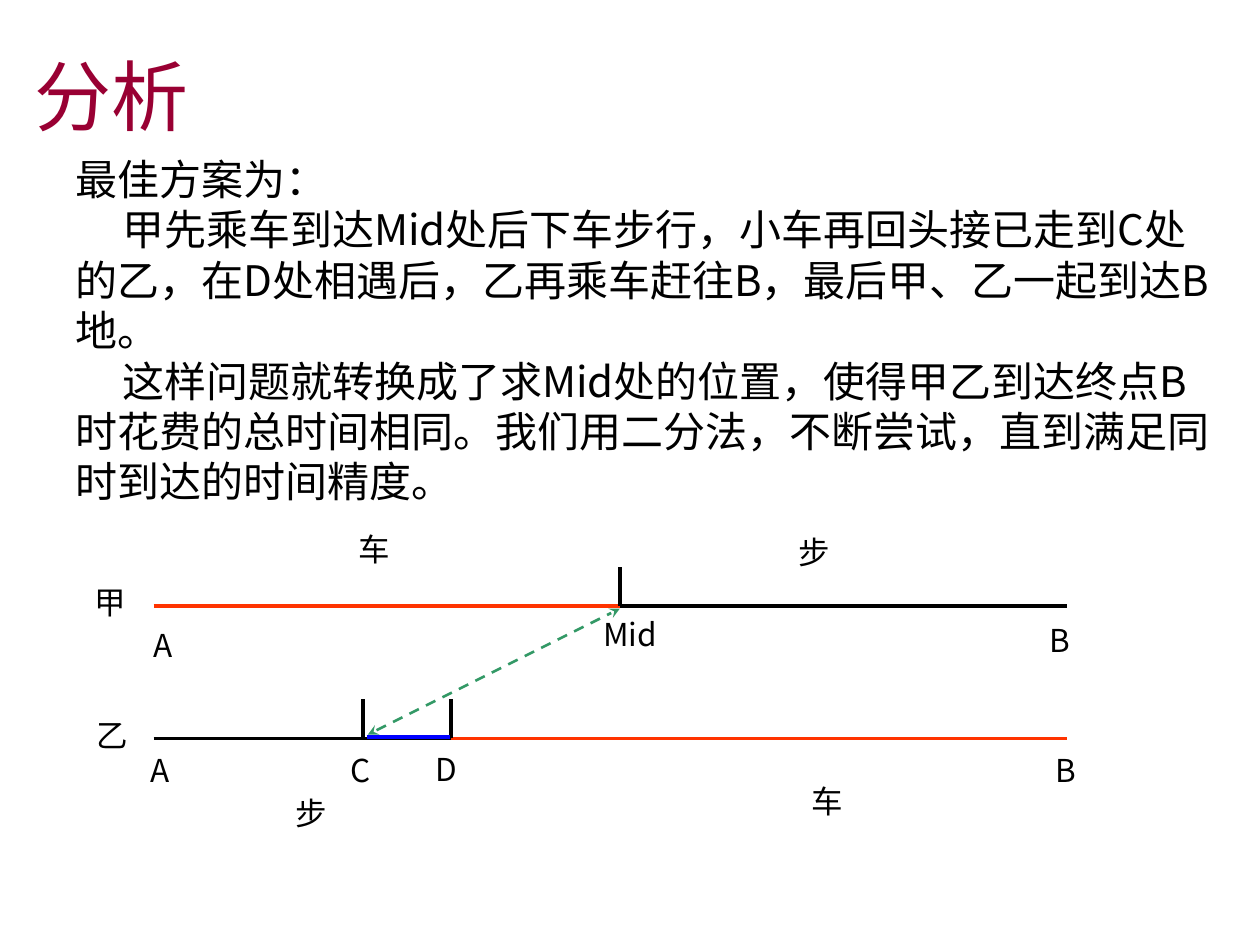
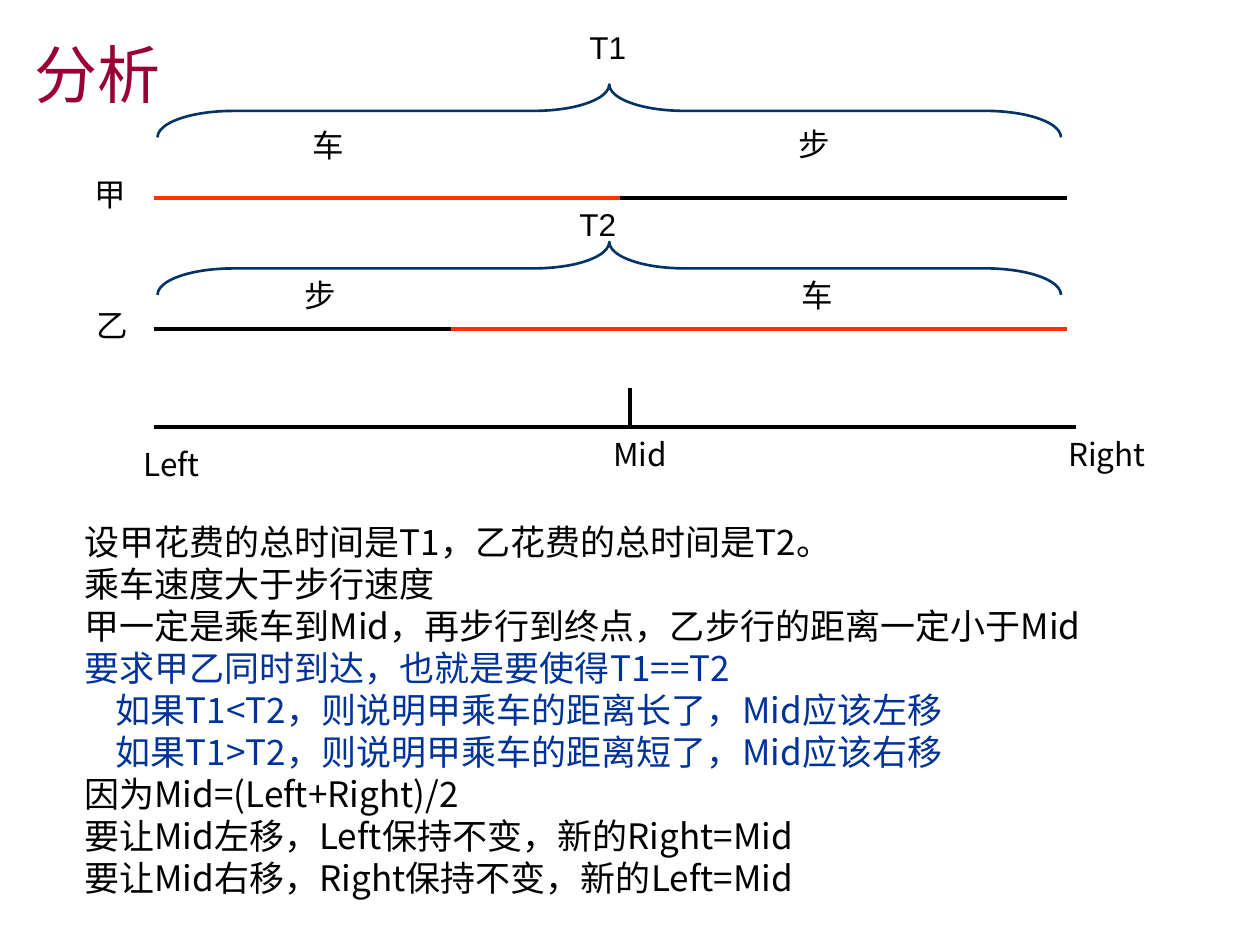
import pptx
import pptx.util
import pptx.dml.color
import pptx.enum.dml
import pptx.enum.shapes
import pptx.enum.text
import lxml.etree
from dataclasses import dataclass


@dataclass(frozen=True)
class Theme:
    title: str = "990033"
    text: str = "000000"
    emphasis: str = "003399"
    walk: str = "000000"
    ride: str = "FF3300"
    pickup: str = "0000FF"
    turnback: str = "339966"
    brace: str = "003366"
    latin_font: str = "Arial"
    body_font: str = "Noto Sans CJK SC"
    label_size: int = 18
    track_weight: float = 2
    line_pitch: float = 1.2  # line height as a multiple of the type size


THEME = Theme()
DASH = pptx.enum.dml.MSO_LINE.DASH

# Places along the road (inches from the left edge)
A, C, D, MID, B = 1.22, 2.88, 3.58, 4.92, 8.47
SEARCH_MID, SEARCH_RIGHT = 5.0, 8.54
TICK = 0.31
LABEL_HEIGHT = 0.4
CHARACTER = 0.45

# Rows of the two diagrams (inches from the top edge)
PLAN_JIA, PLAN_YI = 4.81, 5.86
TIME_JIA, TIME_YI, SEARCH = 1.57, 2.61, 3.39

# Body text: (text, first-line indent, colour)
PLAN_TEXT = [
    ("最佳方案为：", 0, THEME.text),
    ("甲先乘车到达Mid处后下车步行，小车再回头接已走到C处的乙，"
     "在D处相遇后，乙再乘车赶往B，最后甲、乙一起到达B地。", 0.37, THEME.text),
    ("这样问题就转换成了求Mid处的位置，使得甲乙到达终点B时花费的总时间相同。"
     "我们用二分法，不断尝试，直到满足同时到达的时间精度。", 0.37, THEME.text),
]
SEARCH_TEXT = [
    ("设甲花费的总时间是T1，乙花费的总时间是T2。", 0, THEME.text),
    ("乘车速度大于步行速度", 0, THEME.text),
    ("甲一定是乘车到Mid，再步行到终点，乙步行的距离一定小于Mid", 0, THEME.text),
    ("要求甲乙同时到达，也就是要使得T1==T2", 0, THEME.emphasis),
    ("如果T1<T2，则说明甲乘车的距离长了，Mid应该左移", 0.25, THEME.emphasis),
    ("如果T1>T2，则说明甲乘车的距离短了，Mid应该右移", 0.25, THEME.emphasis),
    ("因为Mid=(Left+Right)/2", 0, THEME.text),
    ("要让Mid左移，Left保持不变，新的Right=Mid", 0, THEME.text),
    ("要让Mid右移，Right保持不变，新的Left=Mid", 0, THEME.text),
]

# Labels: (text, left, top, width)
PLAN_LABELS = [
    ("A", 1.12, 4.92, 0.4), ("Mid", 4.69, 4.83, 0.7), ("B", 8.23, 4.88, 0.4),
    ("A", 1.1, 5.91, 0.4), ("C", 2.68, 5.91, 0.4),
    ("D", 3.36, 5.9, 0.4), ("B", 8.28, 5.91, 0.4),
]
PLAN_MODES = [
    ("车", 2.75, 4.16, CHARACTER), ("步", 6.24, 4.18, CHARACTER),
    ("步", 2.25, 6.25, CHARACTER), ("车", 6.34, 6.16, CHARACTER),
]
SEARCH_LABELS = [
    ("Left", 1.04, 3.48, 0.75), ("Mid", 4.77, 3.4, 0.7), ("Right", 8.38, 3.4, 0.95),
]
SEARCH_MODES = [
    ("车", 2.38, 0.95, CHARACTER), ("步", 6.24, 0.94, CHARACTER),
    ("步", 2.32, 2.14, CHARACTER), ("车", 6.26, 2.14, CHARACTER),
]
TIMES = [("T1", 4.58, 0.17, 1.28), ("T2", 4.5, 1.58, 1.28)]

# Braces above the two roads
BRACE_TOPS = [0.67, 1.92]
BRACE_LEFT, BRACE_SPAN, BRACE_DEPTH = 1.25, 7.17, 0.42


def inches(*values):
    return [pptx.util.Inches(value) for value in values]


def rgb(colour):
    return pptx.dml.color.RGBColor.from_string(colour)


def add_run(paragraph, text, size, colour, font):
    paragraph.alignment = pptx.enum.text.PP_ALIGN.LEFT
    paragraph.line_spacing = pptx.util.Pt(size * THEME.line_pitch)
    run = paragraph.add_run()
    run.text = text
    run.font.size = pptx.util.Pt(size)
    run.font.color.rgb = rgb(colour)
    run.font.name = font
    east_asian = lxml.etree.Element(pptx.oxml.ns.qn("a:ea"), typeface=THEME.body_font)
    run.font._element.find(pptx.oxml.ns.qn("a:latin")).addnext(east_asian)


def add_title(slide, text, top, height, size):
    title = slide.shapes.title
    title.left, title.top, title.width, title.height = inches(0.17, top, 9, height)
    frame = title.text_frame
    frame.auto_size = pptx.enum.text.MSO_AUTO_SIZE.NONE
    frame.vertical_anchor = pptx.enum.text.MSO_ANCHOR.MIDDLE
    add_run(frame.paragraphs[0], text, size, THEME.title, THEME.latin_font)


def add_body(slide, lines, box, size):
    frame = slide.shapes.add_textbox(*inches(*box)).text_frame
    frame.word_wrap = True
    for number, (text, indent, colour) in enumerate(lines):
        paragraph = frame.add_paragraph() if number else frame.paragraphs[0]
        properties = paragraph._p.get_or_add_pPr()
        properties.set("marL", "0")
        properties.set("indent", str(pptx.util.Inches(indent)))
        add_run(paragraph, text, size, colour, THEME.body_font)


def add_labels(slide, labels, font):
    for text, left, top, width in labels:
        frame = slide.shapes.add_textbox(*inches(left, top, width, LABEL_HEIGHT)).text_frame
        frame.word_wrap = True
        add_run(frame.paragraphs[0], text, THEME.label_size, THEME.text, font)


def add_line(slide, start, end, colour, weight=THEME.track_weight):
    connector = slide.shapes.add_connector(
        pptx.enum.shapes.MSO_CONNECTOR.STRAIGHT, *inches(*start, *end))
    connector.line.color.rgb = rgb(colour)
    connector.line.width = pptx.util.Pt(weight)
    lxml.etree.SubElement(connector._element.spPr, pptx.oxml.ns.qn("a:effectLst"))
    return connector


def add_tick(slide, x, row):
    add_line(slide, (x, row - TICK), (x, row), THEME.walk)


def add_road(slide, row, change, first, second):
    add_line(slide, (A, row), (change, row), first)
    add_line(slide, (change, row), (B, row), second)


def add_travellers(slide, jia_row, yi_row):
    add_road(slide, jia_row, MID, THEME.ride, THEME.walk)
    add_road(slide, yi_row, D, THEME.walk, THEME.ride)
    add_labels(slide, [("甲", 0.65, jia_row - 0.23, CHARACTER),
                       ("乙", 0.67, yi_row - 0.23, CHARACTER)], THEME.latin_font)


def add_brace(slide, top):
    # A left brace turned a quarter, so that its point faces up
    left = BRACE_LEFT + (BRACE_SPAN - BRACE_DEPTH) / 2
    upright_top = top - (BRACE_SPAN - BRACE_DEPTH) / 2
    brace = slide.shapes.add_shape(
        pptx.enum.shapes.MSO_SHAPE.LEFT_BRACE,
        *inches(left, upright_top, BRACE_DEPTH, BRACE_SPAN))
    brace.rotation = 90
    brace.adjustments[0] = BRACE_SPAN / 12 / BRACE_DEPTH
    brace.shadow.inherit = False
    brace.fill.background()
    brace.line.color.rgb = rgb(THEME.brace)
    brace.line.width = pptx.util.Pt(1.5)


def build_plan(slide):
    add_title(slide, "分析", 0, 1.5, 44)
    add_body(slide, PLAN_TEXT, (0.5, 1.17, 9.29, 2.9), 24)

    # Roads with the points where someone changes
    add_travellers(slide, PLAN_JIA, PLAN_YI)
    for x, row in [(MID, PLAN_JIA), (C, PLAN_YI), (D, PLAN_YI)]:
        add_tick(slide, x, row)
    add_labels(slide, PLAN_LABELS, THEME.body_font)
    add_labels(slide, PLAN_MODES, THEME.latin_font)

    # Stretch walked while the car comes back, and the car's way back
    add_line(slide, (C + 0.03, PLAN_YI - 0.01), (D - 0.01, PLAN_YI - 0.01), THEME.pickup, 2.25)
    way_back = add_line(slide, (C + 0.04, PLAN_YI - 0.03), (MID, PLAN_JIA + 0.02),
                        THEME.turnback, 1.5)
    way_back.line.dash_style = DASH
    outline = way_back.line._get_or_add_ln()
    for end in ("a:headEnd", "a:tailEnd"):
        lxml.etree.SubElement(outline, pptx.oxml.ns.qn(end), type="stealth")


def build_search(slide):
    add_title(slide, "分析", 0, 1.17, 36)

    # Roads with the total times
    add_travellers(slide, TIME_JIA, TIME_YI)
    for top in BRACE_TOPS:
        add_brace(slide, top)
    add_labels(slide, SEARCH_MODES + TIMES, THEME.latin_font)

    # Search interval
    add_line(slide, (A, SEARCH), (SEARCH_RIGHT, SEARCH), THEME.walk)
    add_tick(slide, SEARCH_MID, SEARCH)
    add_labels(slide, SEARCH_LABELS, THEME.body_font)
    add_body(slide, SEARCH_TEXT, (0.57, 4.08, 8.6, 3.1), 20)


def main():
    presentation = pptx.Presentation()
    presentation.slide_width, presentation.slide_height = inches(10, 7.5)
    title_only = presentation.slide_layouts[5]
    for build in (build_plan, build_search):
        build(presentation.slides.add_slide(title_only))
    presentation.save("out.pptx")


if __name__ == "__main__":
    main()
